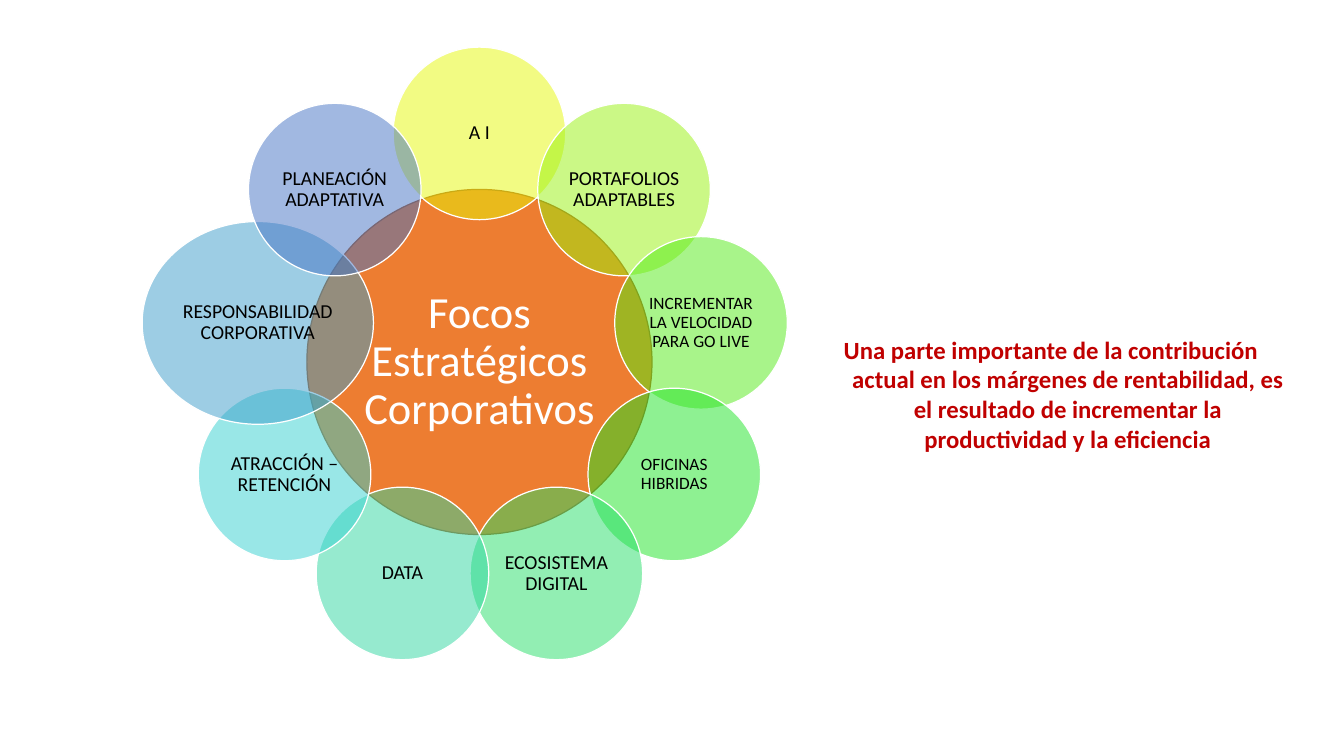
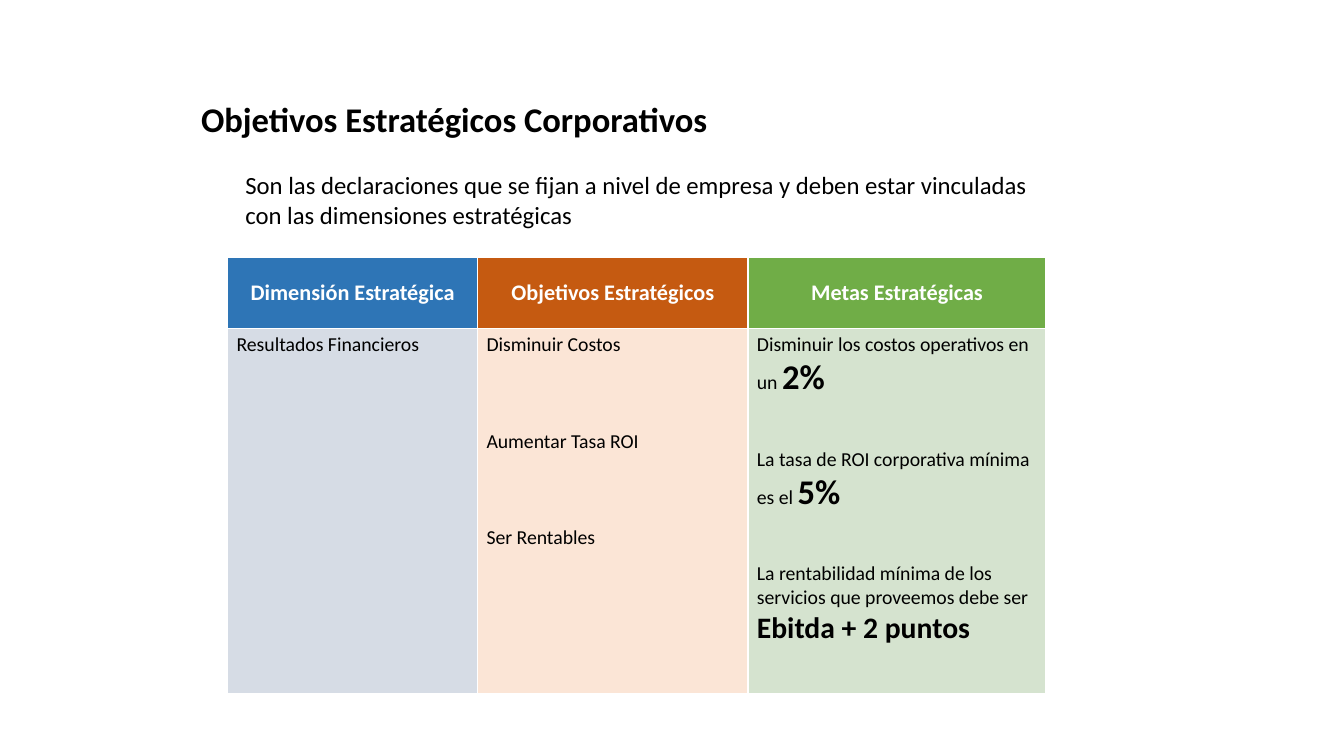
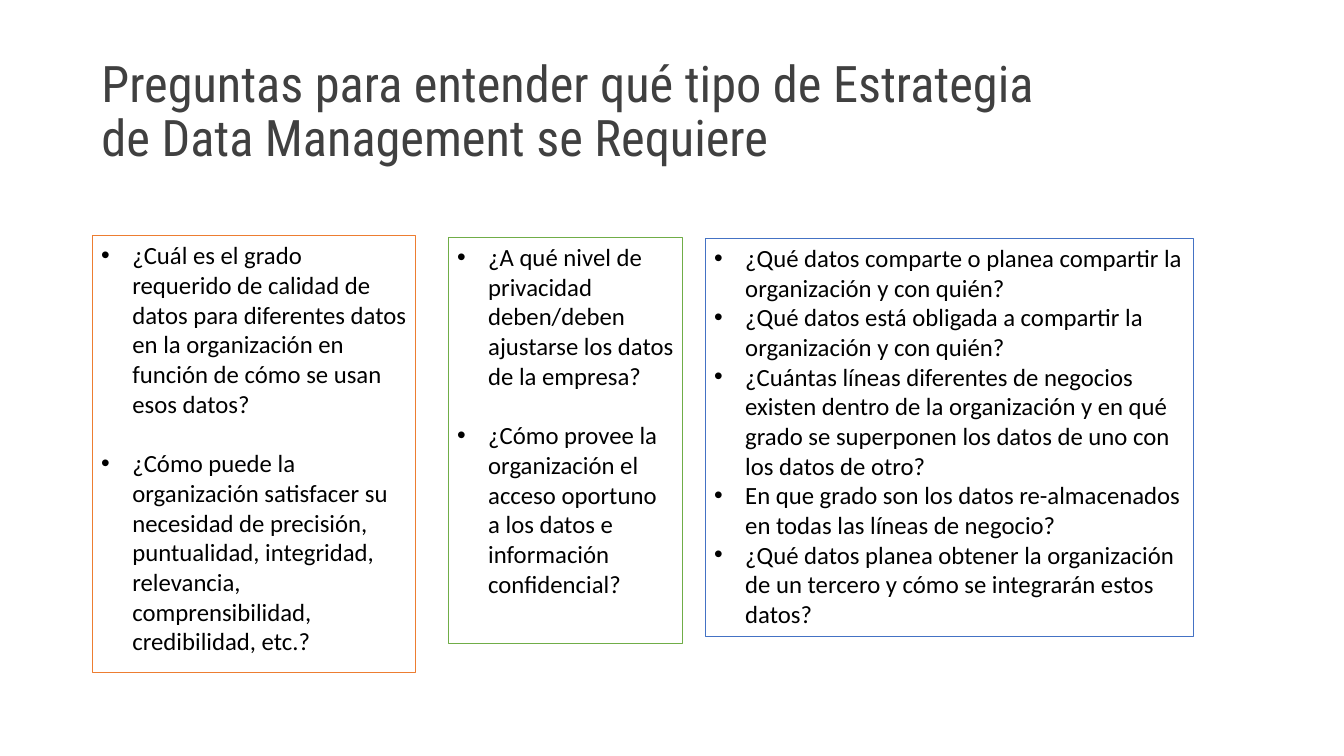
"""Build three slides on corporate strategy, objectives and data questions."""
import dataclasses
import math

import lxml.etree
import pptx
import pptx.dml.color
import pptx.enum.shapes
import pptx.enum.text
import pptx.oxml.ns
import pptx.util

Inches = pptx.util.Inches
Pt = pptx.util.Pt
qn = pptx.oxml.ns.qn
ALIGN = pptx.enum.text.PP_ALIGN
ANCHOR = pptx.enum.text.MSO_ANCHOR


@dataclasses.dataclass(frozen=True)
class Theme:
    """Colours, fonts and type sizes shared by the slides."""
    body_font: str = "Calibri"
    title_font: str = "Roboto Condensed"
    white: str = "FFFFFF"
    black: str = "000000"
    grey: str = "404040"
    red: str = "C00000"
    orange: str = "ED7D31"
    dark_orange: str = "AF5C24"
    green: str = "70AD47"
    blue: str = "4472C4"
    title: float = 40.8
    hub: float = 36
    heading: float = 28
    emphasis: float = 24
    body: float = 20
    header: float = 18
    label: float = 16
    small: float = 14
    line_height: float = 1.22


THEME = Theme()
LAYOUT_TITLE_ONLY = 5
LAYOUT_BLANK = 6


@dataclasses.dataclass(frozen=True)
class Petal:
    """One circle on the ring around the hub."""
    label: str
    color: str
    size: float = THEME.label
    width: float = 1.94
    height: float = 1.94
    lift: float = 0


HUB_X, HUB_Y, HUB_SIZE, RING_RADIUS = 5.39, 4.07, 3.88, 2.53
PETALS = (
    Petal("A I", "E6F808", lift=0.04),
    Petal("PORTAFOLIOS ADAPTABLES", "98F20F"),
    Petal("INCREMENTAR LA VELOCIDAD PARA GO LIVE", "53EB17", THEME.small),
    Petal("OFICINAS HIBRIDAS", "1FE426", THEME.small),
    Petal("ECOSISTEMA DIGITAL", "26DE68"),
    Petal("DATA", "2ED7A1"),
    Petal("ATRACCIÓN – RETENCIÓN", "35D1D1"),
    Petal("RESPONSABILIDAD CORPORATIVA", "3D9DCA", width=2.6, height=2.28),
    Petal("PLANEACIÓN ADAPTATIVA", THEME.blue),
)

HEADERS = (
    ("Dimensión Estratégica", "2E75B6"),
    ("Objetivos Estratégicos", "C55A11"),
    ("Metas Estratégicas", THEME.green),
)
GOALS = (
    ("Disminuir los costos operativos en un ", "2%", THEME.heading),
    ("La tasa de ROI corporativa mínima es el ", "5%", THEME.heading),
    ("La rentabilidad mínima de los servicios que proveemos debe ser ",
     "Ebitda + 2 puntos", THEME.emphasis),
)
CELLS = (
    ("D6DCE5", 0, (("Resultados Financieros",),)),
    ("FBE5D6", 3, (("Disminuir Costos",), ("Aumentar Tasa ROI",), ("Ser Rentables",))),
    ("D5E3CF", 2, GOALS),
)

QUESTION_BOXES = (
    ((1.04, 2.65, 3.63, 4.91), THEME.orange, 1, (
        "¿Cuál es el grado requerido de calidad de datos para diferentes datos en la "
        "organización en función de cómo se usan esos datos?",
        "¿Cómo puede la organización satisfacer su necesidad de precisión, puntualidad, "
        "integridad, relevancia, comprensibilidad, credibilidad, etc.?")),
    ((5.04, 2.67, 2.63, 4.56), THEME.green, 1, (
        "¿A qué nivel de privacidad deben/deben ajustarse los datos de la empresa?",
        "¿Cómo provee la organización el acceso oportuno a los datos e información "
        "confidencial?")),
    ((7.93, 2.68, 5.49, 4.48), THEME.blue, 0, (
        "¿Qué datos comparte o planea compartir la organización y con quién?",
        "¿Qué datos está obligada a compartir la organización y con quién?",
        "¿Cuántas líneas diferentes de negocios existen dentro de la organización y en qué "
        "grado se superponen los datos de uno con los datos de otro?",
        "En que grado son los datos re-almacenados en todas las líneas de negocio?",
        "¿Qué datos planea obtener la organización de un tercero y cómo se integrarán "
        "estos datos?")),
)


def rgb(color):
    """Return the colour object for a hexadecimal string."""
    return pptx.dml.color.RGBColor.from_string(color)


def style(paragraph, size, color=THEME.black, bold=False, align=ALIGN.LEFT,
          font=THEME.body_font):
    """Set the type and alignment of a whole paragraph."""
    paragraph.alignment = align
    paragraph.font.name = font
    paragraph.font.size = Pt(size)
    paragraph.font.bold = bold
    paragraph.font.color.rgb = rgb(color)


def next_paragraph(frame, index, gap_lines, size):
    """Return the paragraph at index, set off by a gap counted in lines."""
    if index == 0:
        return frame.paragraphs[0]
    paragraph = frame.add_paragraph()
    paragraph.space_before = Pt(round(gap_lines * size * THEME.line_height, 1))
    return paragraph


def set_indent(paragraph, indent, bullet=None):
    """Give a paragraph a hanging indent and, if wanted, a bullet."""
    properties = paragraph._p.get_or_add_pPr()
    properties.set("marL", str(Inches(indent)))
    properties.set("indent", str(-Inches(indent)))
    if bullet:
        lxml.etree.SubElement(properties, qn("a:buFont")).set("typeface", "Arial")
        lxml.etree.SubElement(properties, qn("a:buChar")).set("char", bullet)


def add_text_box(slide, bounds):
    """Add a wrapping text box and return it."""
    box = slide.shapes.add_textbox(*map(Inches, bounds))
    box.text_frame.word_wrap = True
    return box


def add_title(slide, text, bounds, size, **look):
    """Place and format the title placeholder."""
    title = slide.shapes.title
    title.left, title.top, title.width, title.height = map(Inches, bounds)
    frame = title.text_frame
    frame.text = text
    frame.word_wrap = True
    frame.auto_size = pptx.enum.text.MSO_AUTO_SIZE.NONE
    frame.vertical_anchor = ANCHOR.MIDDLE
    style(frame.paragraphs[0], size, **look)
    return frame.paragraphs[0]


def add_circle(slide, center, extent, text, size, fill, line, text_color, inset, alpha=None):
    """Add an ellipse around a centre with its label inside."""
    (x, y), (width, height) = center, extent
    circle = slide.shapes.add_shape(
        pptx.enum.shapes.MSO_SHAPE.OVAL,
        Inches(x - width / 2), Inches(y - height / 2), Inches(width), Inches(height))
    circle.shadow.inherit = False
    circle.fill.solid()
    circle.fill.fore_color.rgb = rgb(fill)
    if alpha is not None:
        color = circle._element.spPr.find(qn("a:solidFill")).find(qn("a:srgbClr"))
        lxml.etree.SubElement(color, qn("a:alpha")).set("val", str(alpha * 1000))
    circle.line.color.rgb = rgb(line)
    circle.line.width = Pt(1)
    frame = circle.text_frame
    frame.word_wrap = True
    frame.vertical_anchor = ANCHOR.MIDDLE
    frame.margin_left = frame.margin_right = Inches(inset)
    frame.margin_top = frame.margin_bottom = Inches(inset)
    frame.text = text
    paragraph = frame.paragraphs[0]
    paragraph.line_spacing = 0.9
    style(paragraph, size, text_color, align=ALIGN.CENTER)


def add_focus_slide(presentation):
    """Add the ring of strategic focuses with its message."""
    slide = presentation.slides.add_slide(presentation.slide_layouts[LAYOUT_BLANK])
    add_circle(slide, (HUB_X, HUB_Y), (HUB_SIZE, HUB_SIZE), "Focos Estratégicos Corporativos",
               THEME.hub, THEME.orange, THEME.dark_orange, THEME.white, 0.05)
    for index, petal in enumerate(PETALS):
        angle = math.tau * index / len(PETALS)
        center = (HUB_X + RING_RADIUS * math.sin(angle),
                  HUB_Y - RING_RADIUS * math.cos(angle) - petal.lift)
        add_circle(slide, center, (petal.width, petal.height), petal.label, petal.size,
                   petal.color, THEME.white, THEME.black, 0.02, alpha=50)
    message = add_text_box(slide, (9.08, 3.71, 5.47, 1.45)).text_frame
    message.text = ("Una parte importante de la contribución actual en los márgenes de "
                    "rentabilidad, es el resultado de incrementar la productividad y la "
                    "eficiencia")
    set_indent(message.paragraphs[0], 0.38)
    style(message.paragraphs[0], THEME.body, THEME.red, bold=True, align=ALIGN.CENTER)


def fill_cell(cell, color):
    """Give a table cell a plain fill."""
    cell.fill.solid()
    cell.fill.fore_color.rgb = rgb(color)


def add_objectives_table(slide):
    """Add the table of dimensions, objectives and goals."""
    table = slide.shapes.add_table(
        2, len(HEADERS), *map(Inches, (2.56, 2.89, 9.2, 4.91))).table
    for column, width in zip(table.columns, (2.81, 3.04, 3.35)):
        column.width = Inches(width)
    for row, height in zip(table.rows, (0.8, 4.11)):
        row.height = Inches(height)
    for index, (text, color) in enumerate(HEADERS):
        cell = table.cell(0, index)
        fill_cell(cell, color)
        cell.vertical_anchor = ANCHOR.MIDDLE
        cell.text = text
        style(cell.text_frame.paragraphs[0], THEME.header, THEME.white, bold=True,
              align=ALIGN.CENTER)
    for index, (color, gap_lines, entries) in enumerate(CELLS):
        cell = table.cell(1, index)
        fill_cell(cell, color)
        for position, (text, *emphasis) in enumerate(entries):
            paragraph = next_paragraph(cell.text_frame, position, gap_lines, THEME.label)
            style(paragraph, THEME.label)
            paragraph.add_run().text = text
            if emphasis:
                run = paragraph.add_run()
                run.text, size = emphasis
                run.font.size = Pt(size)
                run.font.bold = True


def add_objectives_slide(presentation):
    """Add the corporate objectives with their definition."""
    slide = presentation.slides.add_slide(presentation.slide_layouts[LAYOUT_TITLE_ONLY])
    add_title(slide, "Objetivos Estratégicos Corporativos", (2.16, 1.04, 9.99, 0.58),
              THEME.heading, bold=True)
    definition = add_text_box(slide, (2.66, 1.86, 9.4, 0.78)).text_frame
    definition.text = ("Son las declaraciones que se fijan a nivel de empresa y deben estar "
                       "vinculadas con las dimensiones estratégicas")
    style(definition.paragraphs[0], THEME.body)
    add_objectives_table(slide)


def add_question_box(slide, bounds, color, gap_lines, questions):
    """Add an outlined box of bulleted questions."""
    box = add_text_box(slide, bounds)
    box.line.color.rgb = rgb(color)
    box.line.width = Pt(0.75)
    for index, question in enumerate(questions):
        paragraph = next_paragraph(box.text_frame, index, gap_lines, THEME.body)
        paragraph.text = question
        set_indent(paragraph, 0.35, "•")
        style(paragraph, THEME.body)


def add_questions_slide(presentation):
    """Add the questions on data management strategy."""
    slide = presentation.slides.add_slide(presentation.slide_layouts[LAYOUT_TITLE_ONLY])
    title = add_title(
        slide, "Preguntas para entender qué tipo de Estrategia de Data Management se Requiere",
        (1.04, 0.45, 11.32, 1.64), THEME.title, color=THEME.grey, font=THEME.title_font)
    title.line_spacing = 0.9
    for question_box in QUESTION_BOXES:
        add_question_box(slide, *question_box)


def main():
    """Build and save the presentation."""
    presentation = pptx.Presentation()
    presentation.slide_width = Inches(15.11)
    presentation.slide_height = Inches(8.5)
    add_focus_slide(presentation)
    add_objectives_slide(presentation)
    add_questions_slide(presentation)
    presentation.save("out.pptx")


if __name__ == "__main__":
    main()
